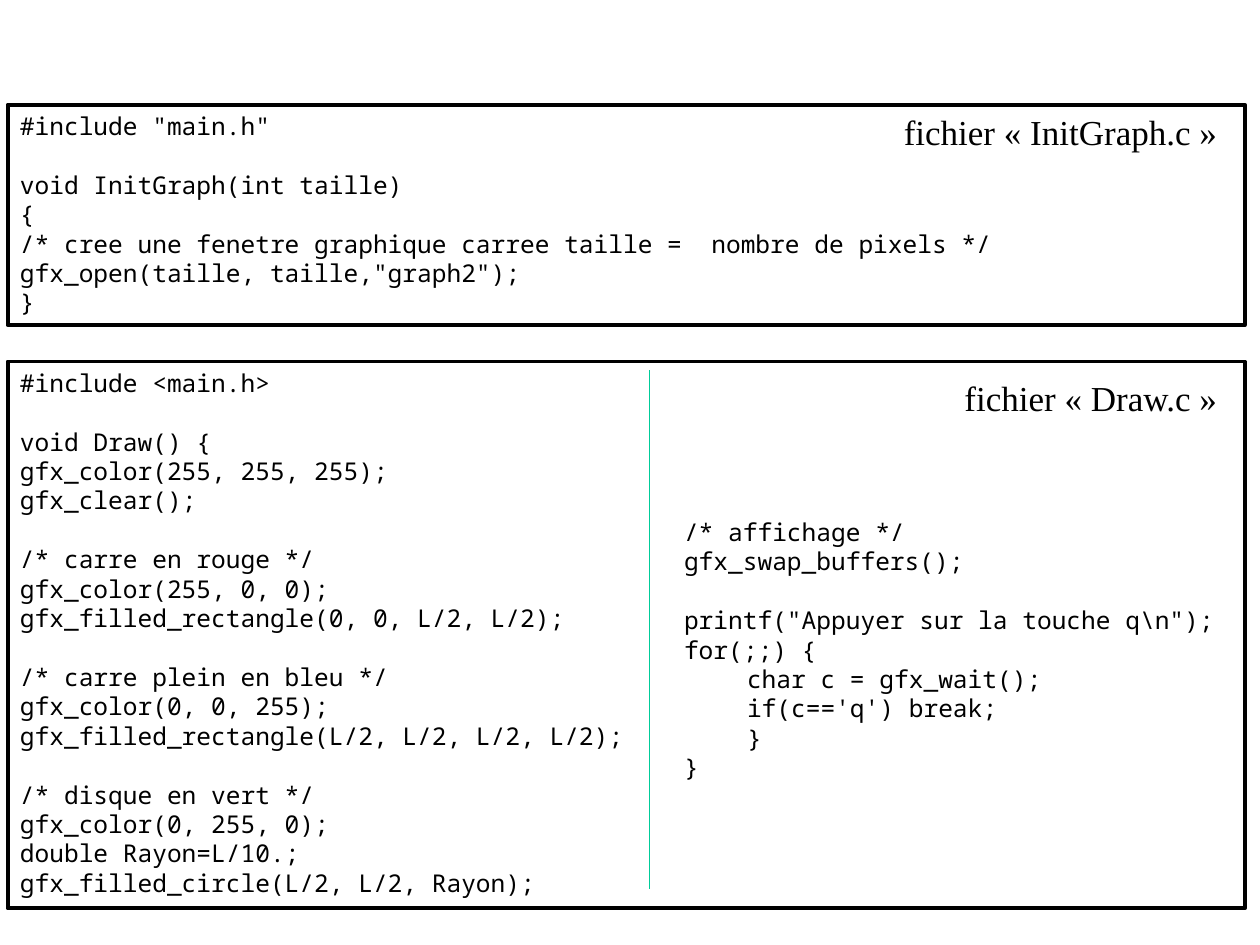
"""Build a slide that lists two C source files in framed code panels."""
from dataclasses import dataclass
from typing import Optional

from lxml.etree import SubElement
from pptx import Presentation
from pptx.dml.color import RGBColor
from pptx.enum.shapes import MSO_CONNECTOR as CONN, MSO_SHAPE as SHAPE
from pptx.enum.text import MSO_ANCHOR as ANCHOR, PP_ALIGN as ALIGN
from pptx.oxml.ns import qn
from pptx.util import Pt

BLACK = RGBColor(0x00, 0x00, 0x00)
WHITE = RGBColor(0xFF, 0xFF, 0xFF)
GREEN = RGBColor(0x00, 0xCC, 0x99)
CODE_FONT, LABEL_FONT = "Noto Sans Mono", "Times New Roman"
CODE_SIZE, LABEL_SIZE, LEADING = 14, 20, 16.8
INSET_X, INSET_Y = 7.2, 3.6


@dataclass(frozen=True)
class Panel:
    """A box of code whose blocks are set one line apart."""
    left: float
    top: float
    width: float
    height: float
    blocks: tuple[str, ...]
    line: RGBColor
    fill: Optional[RGBColor] = None
    inset_top: float = INSET_Y
    wrap: bool = True


@dataclass(frozen=True)
class Label:
    """A file name, aligned right."""
    left: float
    top: float
    width: float
    text: str


INIT_CODE = (
    '#include "main.h"',
    '''void InitGraph(int taille)
{
/* cree une fenetre graphique carree taille =  nombre de pixels */
gfx_open(taille, taille,"graph2");
}''',
)
DRAW_CODE = (
    "#include <main.h>",
    """void Draw() {
gfx_color(255, 255, 255);
gfx_clear();""",
    """/* carre en rouge */
gfx_color(255, 0, 0);
gfx_filled_rectangle(0, 0, L/2, L/2);""",
    """/* carre plein en bleu */
gfx_color(0, 0, 255);
gfx_filled_rectangle(L/2, L/2, L/2, L/2);""",
    """/* disque en vert */
gfx_color(0, 255, 0);
double Rayon=L/10.;
gfx_filled_circle(L/2, L/2, Rayon);""",
)
LOOP_CODE = (
    """/* affichage */
gfx_swap_buffers();""",
    r'''printf("Appuyer sur la touche q\n");
for(;;) {
	char c = gfx_wait();
	if(c=='q') break;
	}
}''',
)

PANELS = (
    Panel(4.3, 59.8, 707, 126, INIT_CODE, BLACK),
    Panel(4.3, 206.6, 707, 312.5, DRAW_CODE, BLACK, WHITE),
    Panel(383.8, 275, 319, 177, LOOP_CODE, WHITE, WHITE, INSET_Y + LEADING, False),
)
LABELS = (
    Label(507.6, 59.8, 195.1, "fichier « InitGraph.c »"),
    Label(542.9, 211.7, 159.8, "fichier « Draw.c »"),
)


def style_runs(p, font: str, size: float) -> None:
    """Give every run of a paragraph one font."""
    for r in p.runs:
        r.font.name = font
        r.font.size = Pt(size)
        r.font.color.rgb = BLACK


def set_frame(tf, wrap: bool, inset_top: float = INSET_Y) -> None:
    """Set wrapping, anchor and insets of a text frame."""
    tf.word_wrap = wrap
    tf.vertical_anchor = ANCHOR.TOP
    tf.margin_left = tf.margin_right = Pt(INSET_X)
    tf.margin_top, tf.margin_bottom = Pt(inset_top), Pt(INSET_Y)


def add_panel(s, panel: Panel) -> None:
    """Draw a code box."""
    sp = s.shapes.add_shape(SHAPE.RECTANGLE, Pt(panel.left), Pt(panel.top),
                            Pt(panel.width), Pt(panel.height))
    sp.shadow.inherit = False
    if panel.fill is None:
        sp.fill.background()
    else:
        sp.fill.solid()
        sp.fill.fore_color.rgb = panel.fill
    sp.line.color.rgb = panel.line
    sp.line.width = Pt(2.25)
    tf = sp.text_frame
    set_frame(tf, panel.wrap, panel.inset_top)
    tf.text = "\n".join(panel.blocks)
    starts = {block.split("\n")[0] for block in panel.blocks[1:]}
    for p in tf.paragraphs:
        p.alignment = ALIGN.LEFT
        p.line_spacing = Pt(LEADING)
        p.space_before = Pt(LEADING if p.text in starts else 0)
        style_runs(p, CODE_FONT, CODE_SIZE)


def add_label(s, label: Label) -> None:
    """Write a file name."""
    sp = s.shapes.add_textbox(Pt(label.left), Pt(label.top), Pt(label.width), Pt(31.5))
    tf = sp.text_frame
    set_frame(tf, False)
    tf.text = label.text
    p = tf.paragraphs[0]
    p.alignment = ALIGN.RIGHT
    style_runs(p, LABEL_FONT, LABEL_SIZE)


def add_divider(s, x: float, top: float, bottom: float) -> None:
    """Draw the rule between the code columns."""
    line = s.shapes.add_connector(CONN.STRAIGHT, Pt(x), Pt(top), Pt(x), Pt(bottom))
    line.line.color.rgb = GREEN
    line.line.width = Pt(0.5)
    SubElement(line._element.spPr, qn("a:effectLst"))


def main() -> None:
    """Build and save the slide."""
    prs = Presentation()
    prs.slide_width, prs.slide_height = Pt(720), Pt(540)
    s = prs.slides.add_slide(prs.slide_layouts[6])
    for panel in PANELS:
        add_panel(s, panel)
    for label in LABELS:
        add_label(s, label)
    add_divider(s, 371.3, 211.7, 508.3)
    prs.save("out.pptx")


if __name__ == "__main__":
    main()
